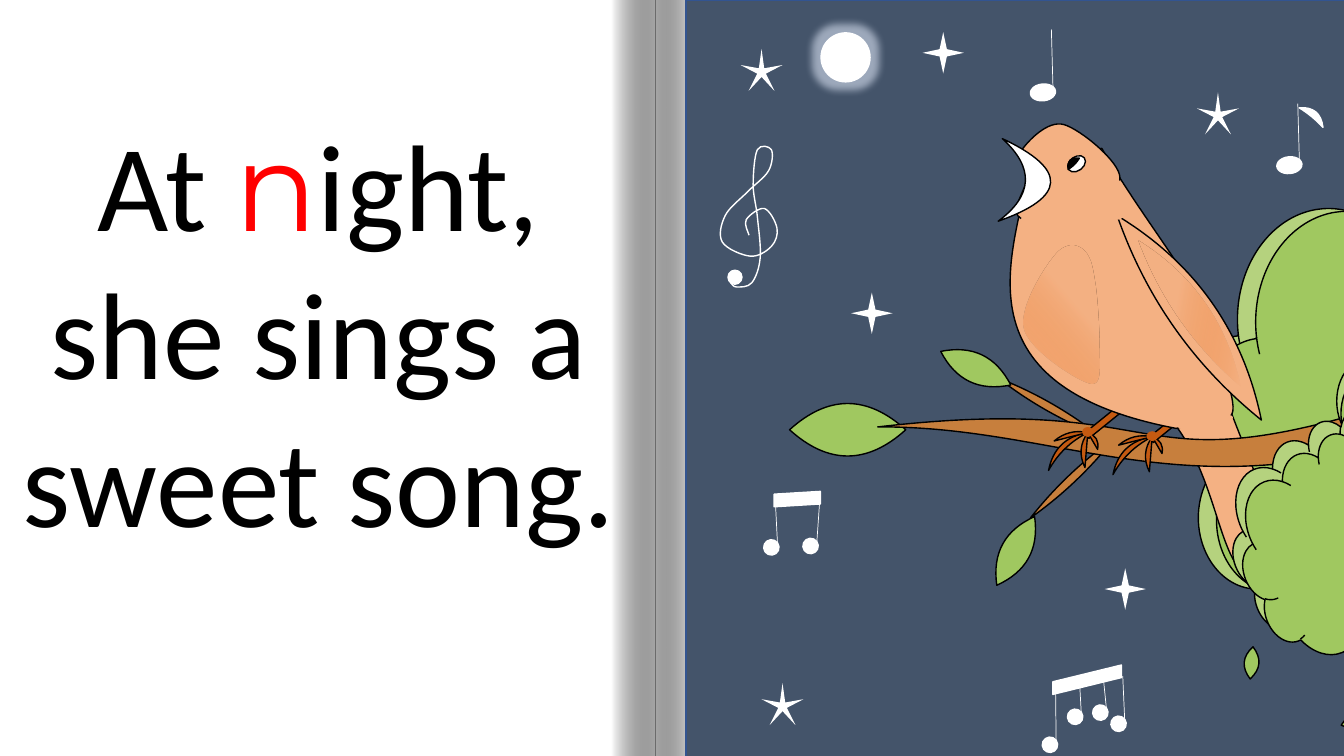
"""Build the storybook page with the bird that sings at night."""
import math

import lxml.etree
import pptx
import pptx.dml.color
import pptx.enum.shapes
import pptx.enum.text
import pptx.oxml.ns
import pptx.util

Pt = pptx.util.Pt
qn = pptx.oxml.ns.qn
SHAPE = pptx.enum.shapes.MSO_SHAPE
COLORS = {
    "black": "000000", "white": "FFFFFF", "sky": "44546A", "sky edge": "325491",
    "leaf": "A0C860", "light leaf": "B5D27E", "wood": "C77F3D", "feather": "F4B183",
    "blush": "ED7D31", "claw": "C55A11", "red": "FF0000", "glow": "DAE3F3",
}


class Page:
    """Hold the style and the current slide, and draw each kind of element."""

    def __init__(self, slide):
        self.shapes = slide.shapes
        slide.background.fill.solid()
        slide.background.fill.fore_color.rgb = self.color("black")

    def color(self, name):
        return pptx.dml.color.RGBColor.from_string(COLORS[name])

    def paint(self, shape, fill, line):
        shape.shadow.inherit = False
        if fill:
            shape.fill.solid()
            shape.fill.fore_color.rgb = self.color(fill)
        else:
            shape.fill.background()
        if line:
            shape.line.color.rgb = self.color(line)
            shape.line.width = Pt(1)
        else:
            shape.line.fill.background()
        return shape

    def preset(self, kind, box, fill, line=None, turn=0):
        shape = self.shapes.add_shape(kind, *map(Pt, box))
        shape.rotation = turn
        return self.paint(shape, fill, line)

    def outline(self, fill, start, *steps, line="black", closed=True):
        points = [(Pt(step[i]), Pt(step[i + 1])) for step in steps for i in range(0, len(step), 2)]
        builder = self.shapes.build_freeform(Pt(start[0]), Pt(start[1]))
        shape = builder.add_line_segments(points, close=closed).convert_to_shape()
        segments = iter(list(shape._element.iter(qn("a:lnTo"))))
        for step in steps:
            first = next(segments)
            if len(step) == 6:
                first.tag = qn("a:cubicBezTo")
                for control in (next(segments), next(segments)):
                    first.append(control[0])
                    control.getparent().remove(control)
        return self.paint(shape, fill, line)

    def blade(self, fill, x, y, tip_x, tip_y, bulge, back, line="black"):
        across, down = tip_x - x, tip_y - y
        length = math.hypot(across, down)

        def control(part, offset):
            return (x + across * part - down / length * offset,
                    y + down * part + across / length * offset)

        out = control(1 / 3, bulge) + control(2 / 3, bulge) + (tip_x, tip_y)
        home = control(2 / 3, back) + control(1 / 3, back) + (x, y)
        return self.outline(fill, (x, y), out, home, line=line)

    def smooth(self, fill, knots, line="black", closed=True):
        if closed:
            chain = [knots[-1], *knots, *knots[:2]]
        else:
            chain = [knots[0], *knots, knots[-1]]
        steps = []
        for before, here, there, after in zip(chain, chain[1:], chain[2:], chain[3:]):
            leave = tuple(h + (t - b) / 6 for b, h, t in zip(before, here, there))
            reach = tuple(t - (a - h) / 6 for h, t, a in zip(here, there, after))
            steps.append(leave + reach + there)
        return self.outline(fill, knots[0], *steps, line=line, closed=closed)

    def fade(self, shape, start, end, opacity, angle, begin=0):
        shape.fill.gradient()
        shape.fill.gradient_angle = angle
        for stop, name, position in zip(shape.fill.gradient_stops, (start, end), (begin, 1)):
            stop.color.rgb = self.color(name)
            stop.position = position
        last = list(shape._element.iter(qn("a:gs")))[-1][0]
        lxml.etree.SubElement(last, qn("a:alpha"), val=str(opacity * 1000))

    def glow(self, shape, name, radius, opacity):
        effects = shape._element.spPr.find(qn("a:effectLst"))
        halo = lxml.etree.SubElement(effects, qn("a:glow"), rad=str(Pt(radius)))
        tint = lxml.etree.SubElement(halo, qn("a:srgbClr"), val=COLORS[name])
        lxml.etree.SubElement(tint, qn("a:alpha"), val=str(opacity * 1000))

    def note(self, x, y, stem_x, stem_y, width=11, height=11):
        ends = (stem_x, stem_y, x + width * 0.4, y - 2)
        stem = self.shapes.add_connector(pptx.enum.shapes.MSO_CONNECTOR.STRAIGHT, *map(Pt, ends))
        stem.line.color.rgb = self.color("white")
        stem.line.width = Pt(0.5)
        lxml.etree.SubElement(stem._element.spPr, qn("a:effectLst"))
        box = (x - width / 2, y - height / 2, width, height)
        self.preset(SHAPE.OVAL, box, "white", "white", -6)

    def verse(self, box, size, *pieces):
        frame = self.shapes.add_textbox(*map(Pt, box)).text_frame
        frame.word_wrap = True
        frame.auto_size = pptx.enum.text.MSO_AUTO_SIZE.SHAPE_TO_FIT_TEXT
        sentence = frame.paragraphs[0]
        sentence.alignment = pptx.enum.text.PP_ALIGN.CENTER
        sentence.font.size = Pt(size)
        for words, font, name in pieces:
            run = sentence.add_run()
            run.text = words
            run.font.name = font
            run.font.color.rgb = self.color(name)


def draw_book(page):
    """Draw the paper, the gutter, the night sky and the sentence."""
    page.preset(SHAPE.RECTANGLE, (-1, 0, 970, 540), "white")
    for left, angle in ((468, 180), (437, 0)):
        gutter = page.preset(SHAPE.RECTANGLE, (left, 0, 31, 540), "white")
        page.fade(gutter, "white", "black", 34, angle)
    page.preset(SHAPE.RECTANGLE, (490, 0, 479, 558), "sky", "sky edge")
    page.verse((-1, 74, 457, 327), 88, ("At ", "Calibri", "black"), ("n", "Montserrat", "red"),
               ("ight, she sings a sweet song.", "Calibri", "black"))


def draw_foliage(page, back, front, size, turn=0):
    """Draw a clump of leaves as two offset clouds."""
    for corner, name in ((back, "light leaf"), (front, "leaf")):
        page.preset(SHAPE.CLOUD, corner + size, name, "black", turn)


def draw_tree(page):
    """Draw the foliage, the tail behind it, the branch and the leaves."""
    draw_foliage(page, (847, 115), (860, 117), (416, 372))
    page.outline("feather", (798, 272), (868, 258), (879, 310, 931, 393, 901, 412),
                 (862, 419, 878, 302, 798, 272))
    for twig in ((713, 270, 785, 311), (736, 370, 796, 313)):
        page.blade("wood", *twig, 4, -4)
    page.blade("leaf", 564, 307, 647, 307, 25, -25)
    page.outline("wood", (627, 305), (860, 278, 793, 359, 1037, 274), (1035, 302),
                 (852, 371, 763, 304, 627, 305))
    for leaf, bulge in (((712, 418, 739, 369), 14), ((672, 251, 722, 275), 14),
                        ((893, 485, 895, 462), 7), ((958, 518, 981, 511), 7)):
        page.blade("leaf", *leaf, bulge, -bulge)
    draw_foliage(page, (955, 184), (958, 193), (212, 217))
    draw_foliage(page, (879, 302), (886, 311), (154, 157), 338.5)


def draw_bird(page):
    """Draw the legs, body, head, wing, claws and shading."""
    feet = ((777, 309), (823, 312))
    for x, y in feet:
        page.preset(SHAPE.RECTANGLE, (x + 15, y - 36, 5, 47), "claw", "black", 51)
    page.outline("feather", (735, 119), (787, 106), (828, 176, 872, 219, 877, 272),
                 (886, 306, 881, 298, 840, 306), (677, 275, 727, 176, 735, 119))
    page.smooth("feather", [(734, 126), (730, 107), (760, 89), (800, 127), (760, 158), (727, 154)])
    page.blade("white", 713, 158, 716, 99, 48, 24)
    page.preset(SHAPE.OVAL, (762, 112, 14, 10), "white", "black", 323)
    page.blade("black", 763, 121, 771, 113, -5, 1)
    page.blade("feather", 798, 154, 901, 300, -26, 17)
    for x, y in feet:
        for across, down, bulge, back in ((-28, 27, 9, 4), (-2, 25, 5, 0), (-24, 6, 4, 0), (7, 12, -4, 0)):
            page.blade("claw", x, y, x + across, y + down, bulge, back)
        page.preset(SHAPE.OVAL, (x - 4, y - 4, 8, 7), "claw")
    for *box, turn in ((793, 146, 17, 9, 320), (729, 149, 47, 17, 0),
                       (760, 137, 47, 17, 311), (841, 297, 40, 9, 350)):
        page.preset(SHAPE.OVAL, box, "feather", turn=turn)
    breast = page.smooth("feather", [(755, 181), (778, 185), (785, 248), (778, 274), (732, 235)], line=None)
    page.fade(breast, "feather", "blush", 0, 220, 0.38)
    plume = page.blade("feather", 813, 172, 886, 276, -18, 11, line=None)
    page.fade(plume, "feather", "blush", 0, 350, 0.38)


def draw_stars(page):
    """Draw the stars and the glowing moon."""
    for left, top in ((529, 35), (855, 66), (544, 488)):
        star = page.preset(SHAPE.STAR_5_POINT, (left, top, 30, 30), "white")
        star.adjustments[0] = 0.103
    for left, top in ((659, 23), (608, 209), (789, 406)):
        page.preset(SHAPE.STAR_4_POINT, (left, top, 29.5, 29.5), "white")
    moon = page.preset(SHAPE.FLOWCHART_CONNECTOR, (586, 23, 36, 36), "white")
    page.glow(moon, "glow", 11, 60)


def draw_music(page):
    """Draw the notes and the treble clef."""
    page.blade("white", 928, 77, 945, 91, -7, -1, line="white")
    for left, top, right, end, depth in ((752, 487, 801, 475, 9), (553, 353, 586, 351, 9)):
        page.outline("white", (left, top), (right, end), (right, end + depth), (left, top + depth), line="white")
    for note in ((921, 118, 927, 74), (745, 66, 751, 21)):
        page.note(*note, 18, 12)
    for note in ((750, 532, 754, 492), (768, 512, 771, 485), (786, 509, 788, 483),
                 (799, 517, 802, 483), (551, 391, 554, 361), (579, 390, 586, 351)):
        page.note(*note)
    clef = [(535, 168), (533, 157), (546, 149), (555, 163), (551, 176), (536, 183),
            (516, 173), (518, 154), (534, 137), (549, 122), (551, 107), (541, 107),
            (538, 132), (541, 155), (543, 184), (537, 202), (526, 205), (522, 202)]
    page.smooth(None, clef, line="white", closed=False)
    page.preset(SHAPE.OVAL, (520, 193, 10, 10), "white", "white")


def main():
    """Draw every part of the page and save it."""
    book = pptx.Presentation()
    book.slide_width, book.slide_height = Pt(960), Pt(540)
    page = Page(book.slides.add_slide(book.slide_layouts[6]))
    for draw in (draw_book, draw_tree, draw_bird, draw_stars, draw_music):
        draw(page)
    book.save("out.pptx")


if __name__ == "__main__":
    main()
